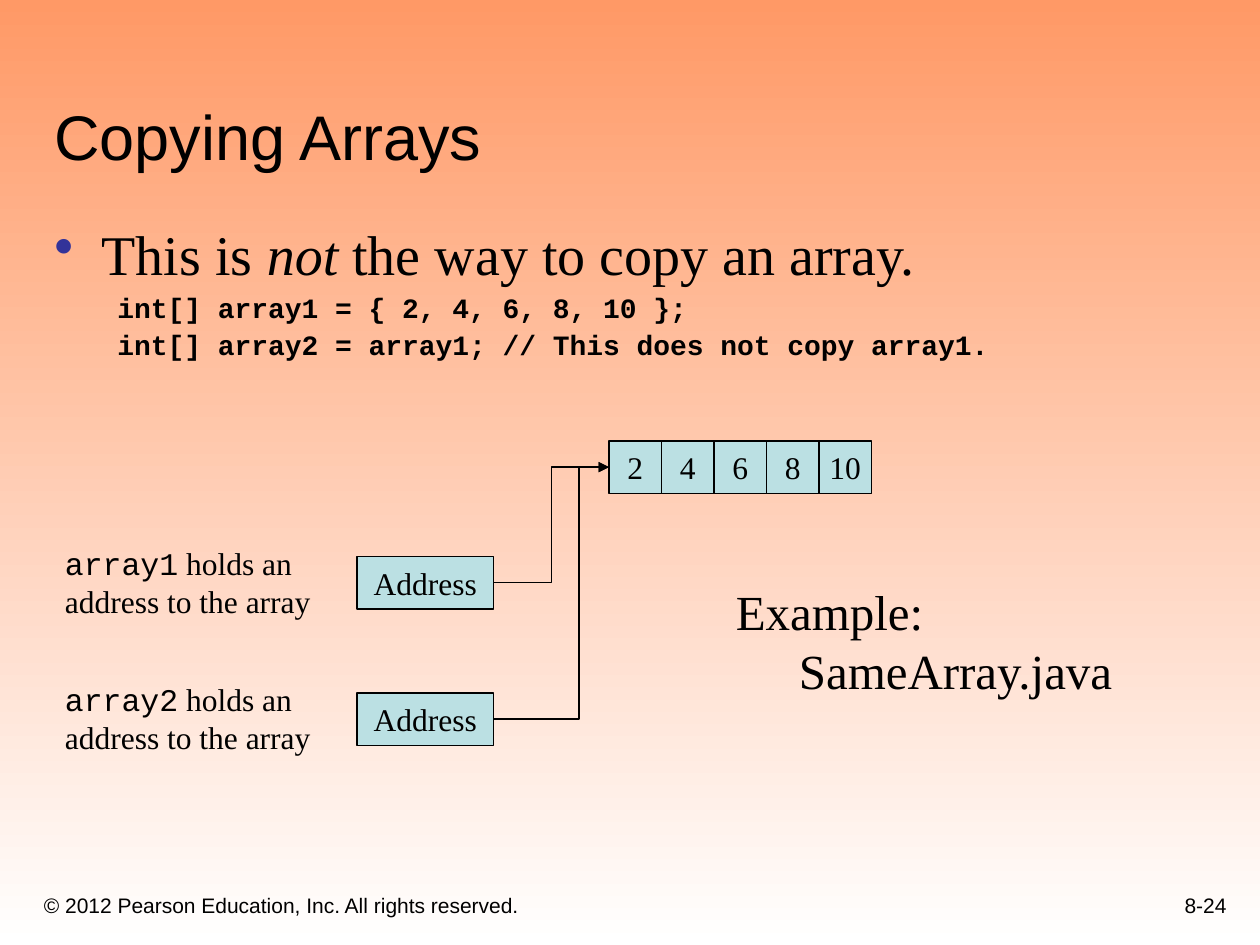
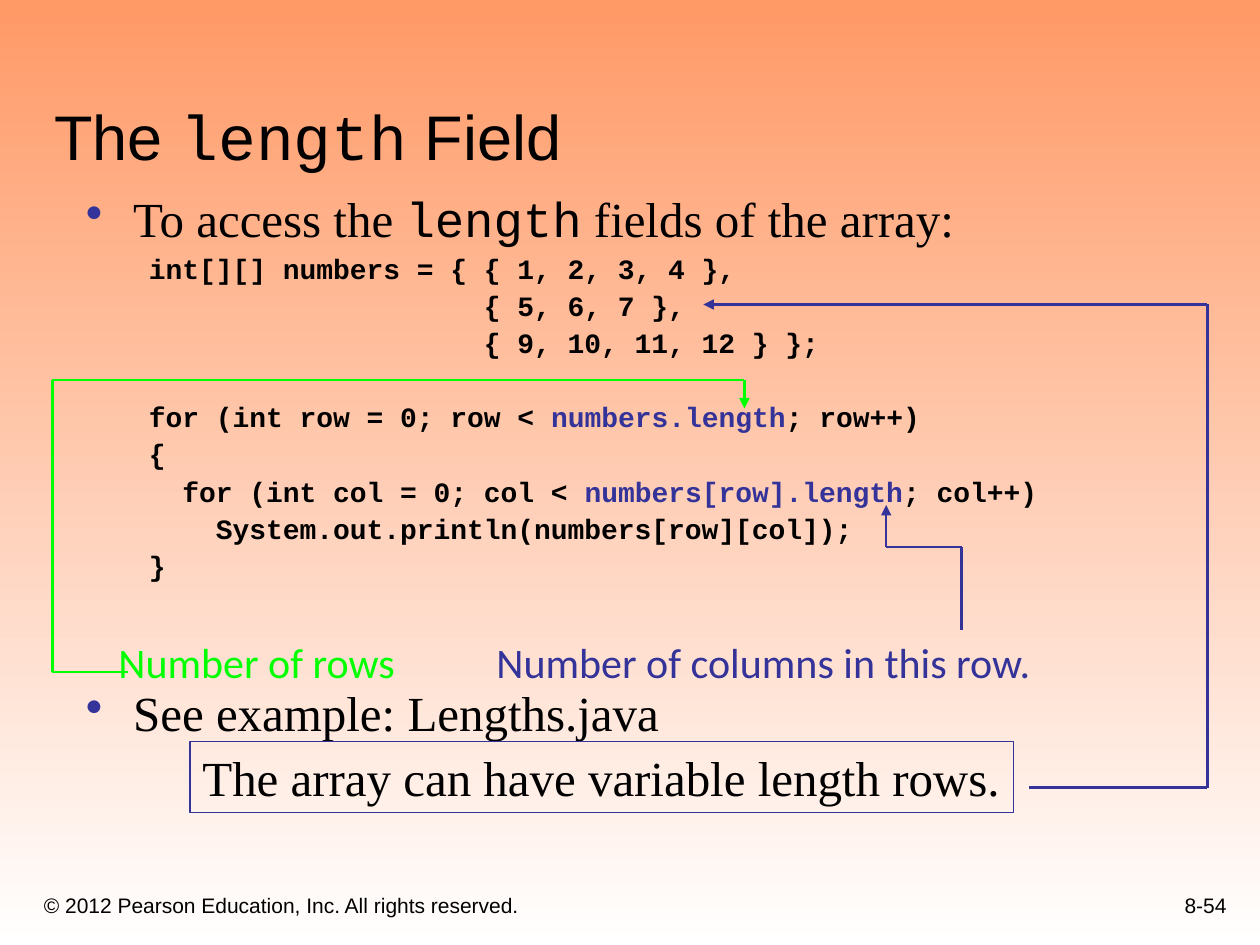
from itertools import pairwise

from lxml import etree
from pptx import Presentation
from pptx.dml.color import RGBColor
from pptx.enum.shapes import MSO_CONNECTOR, MSO_SHAPE
from pptx.enum.text import MSO_ANCHOR, MSO_AUTO_SIZE, PP_ALIGN
from pptx.oxml.ns import qn
from pptx.util import Pt

PX = 7620  # EMU per px, 120 px to the inch
STRAIGHT, ELBOW = MSO_CONNECTOR.STRAIGHT, MSO_CONNECTOR.ELBOW
RECTANGLE = MSO_SHAPE.RECTANGLE
TOP, MIDDLE, BOTTOM = MSO_ANCHOR.TOP, MSO_ANCHOR.MIDDLE, MSO_ANCHOR.BOTTOM
LEFT, CENTER, RIGHT = PP_ALIGN.LEFT, PP_ALIGN.CENTER, PP_ALIGN.RIGHT
FIT = MSO_AUTO_SIZE.SHAPE_TO_FIT_TEXT
RIGHT_SIDE, LEFT_SIDE = 3, 1

BLACK = RGBColor(0x00, 0x00, 0x00)
WHITE = RGBColor(0xFF, 0xFF, 0xFF)
ORANGE = RGBColor(0xFF, 0x99, 0x66)
BLUE = RGBColor(0x33, 0x33, 0x99)
GREEN = RGBColor(0x00, 0xFF, 0x00)
PALE_TEAL = RGBColor(0xBB, 0xE0, 0xE3)

SANS, SERIF, MONO, LABEL = "Arial", "Times New Roman", "Courier New", "Calibri"
COPYRIGHT = "© 2012 Pearson Education, Inc. All rights reserved."


def add_xml(parent, tag, **attributes):
    return etree.SubElement(parent, qn(tag), attributes)


def set_font(font, name=None, size=None, color=None, bold=None, italic=None):
    if name:
        font.name = name
    if size:
        font.size = Pt(size)
    if color is not None:
        font.color.rgb = color
    if bold is not None:
        font.bold = bold
    if italic is not None:
        font.italic = italic


class Deck:
    """Holds the shared style and the slide being built."""

    def __init__(self):
        self.prs = Presentation()
        self.prs.slide_width, self.prs.slide_height = 1200 * PX, 900 * PX
        self.slide = None

    def new_slide(self, title, number):
        self.slide = self.prs.slides.add_slide(self.prs.slide_layouts[6])
        fill = self.slide.background.fill
        fill.gradient()
        fill.gradient_angle = 270
        for stop, color in zip(fill.gradient_stops, (ORANGE, WHITE)):
            stop.color.rgb = color
        self.text((30, 830, 730, 50), [COPYRIGHT], SANS, 12, anchor=BOTTOM)
        self.text((930, 820, 250, 60), [number], SANS, 12, anchor=BOTTOM, align=RIGHT)
        self.text((40, 40, 1130, 131), [title], SANS, 36, anchor=BOTTOM)

    def put_words(self, paragraph, content, **font):
        """Content is a string or a list of strings and (text, font) runs."""
        set_font(paragraph.font, **font)
        if isinstance(content, str):
            paragraph.text = content
            return
        for part in content:
            words, change = (part, {}) if isinstance(part, str) else part
            run = paragraph.add_run()
            run.text = words
            if change:
                set_font(run.font, **change)

    def frame(self, box, anchor=TOP, fit=False):
        shape = self.slide.shapes.add_textbox(*(n * PX for n in box))
        frame = shape.text_frame
        frame.word_wrap = not fit
        frame.vertical_anchor = anchor
        if fit:
            frame.auto_size = FIT
        return frame

    def text(self, box, lines, name, size, color=BLACK, anchor=TOP, align=LEFT,
             fit=False, hanging=0, tab=0):
        frame = self.frame(box, anchor, fit)
        for index, line in enumerate(lines):
            paragraph = frame.add_paragraph() if index else frame.paragraphs[0]
            paragraph.alignment = align
            if hanging:
                self.indent(paragraph, hanging, hanging)
            if tab:
                tabs = add_xml(paragraph._p.get_or_add_pPr(), "a:tabLst")
                add_xml(tabs, "a:tab", pos=str(tab * PX), algn="l")
            self.put_words(paragraph, line, name=name, size=size, color=color)

    def indent(self, paragraph, margin, hanging):
        props = paragraph._p.get_or_add_pPr()
        props.set("marL", str(margin * PX))
        props.set("indent", str(-hanging * PX))
        return props

    def body(self, box, items, bullet_size):
        """Items are (kind, content, space before), kind being bullet or code."""
        frame = self.frame(box)
        frame.margin_right = 0
        for index, (kind, content, space) in enumerate(items):
            paragraph = frame.add_paragraph() if index else frame.paragraphs[0]
            paragraph.line_spacing = 0.9
            if index:
                paragraph.space_before = Pt(space)
            if kind == "bullet":
                props = self.indent(paragraph, 45, 45)
                add_xml(add_xml(props, "a:buClr"), "a:srgbClr", val=str(BLUE))
                add_xml(props, "a:buChar", char="•")
                self.put_words(paragraph, content, name=SERIF, size=bullet_size, color=BLACK)
            else:
                self.indent(paragraph, 98, 38)
                self.put_words(paragraph, content, name=MONO, size=16, color=BLACK, bold=True)

    def box(self, box, words, size, fill=None, line=BLACK, align=CENTER, fit=False):
        shape = self.slide.shapes.add_shape(RECTANGLE, *(n * PX for n in box))
        shape.shadow.inherit = False
        if fill is None:
            shape.fill.background()
        else:
            shape.fill.solid()
            shape.fill.fore_color.rgb = fill
        shape.line.color.rgb = line
        shape.line.width = Pt(0.75)
        frame = shape.text_frame
        frame.word_wrap = False
        frame.vertical_anchor = MIDDLE
        if fit:
            frame.auto_size = FIT
        paragraph = frame.paragraphs[0]
        paragraph.alignment = align
        self.put_words(paragraph, words, name=SERIF, size=size, color=BLACK)
        return shape

    def connector(self, kind, ends, color, width, arrow):
        line = self.slide.shapes.add_connector(kind, *ends)
        line.line.color.rgb = color
        line.line.width = Pt(width)
        props = line._element.spPr
        if arrow:
            add_xml(props.get_or_add_ln(), "a:tailEnd", type="triangle")
        add_xml(props, "a:effectLst")
        return line

    def pointer(self, source, target, bend):
        """Elbow arrow from a right side to a left side, bending at a percentage."""
        ends = (source.left + source.width, source.top + source.height // 2,
                target.left, target.top + target.height // 2)
        line = self.connector(ELBOW, ends, BLACK, 0.75, True)
        line.begin_connect(source, RIGHT_SIDE)
        line.end_connect(target, LEFT_SIDE)
        adjust = line._element.spPr.find(qn("a:prstGeom")).get_or_add_avLst()
        add_xml(adjust, "a:gd", name="adj1", fmla=f"val {bend * 1000}")

    def route(self, points, color):
        """Straight lines through the points, with an arrowhead at the end."""
        for start, end in pairwise(points):
            ends = [n * PX for n in start + end]
            self.connector(STRAIGHT, ends, color, 1.5, end == points[-1])


def copying_arrays(deck):
    deck.new_slide("Copying Arrays", "8-24")
    deck.body((40, 210, 1088, 184), [
        ("bullet", ["This is ", ("not", {"italic": True}), " the way to copy an array."], 0),
        ("code", "int[] array1 = { 2, 4, 6, 8, 10 };", 4),
        ("code", "int[] array2 = array1; // This does not copy array1.", 4),
    ], 32)

    # Array elements
    elements = [deck.box((580 + 50 * i, 420, 50, 50), value, 18, PALE_TEAL)
                for i, value in enumerate(("2", "4", "6", "8", "10"))]

    # Variables pointing at the one array
    for row, (variable, bend) in enumerate((("array1", 50), ("array2", 74))):
        top = 530 + 130 * row
        address = deck.box((340, top, 130, 50), "Address", 18, PALE_TEAL)
        deck.text((50, top - 18, 258, 84),
                  [[(variable, {"name": MONO}), " holds an"], "address to the array"],
                  SERIF, 18, fit=True)
        deck.pointer(address, elements[0], bend)

    deck.text((689, 548, 385, 125), ["Example:\vSameArray.java"], SERIF, 28,
              fit=True, hanging=60)


def length_field(deck):
    mono, blue = {"name": MONO}, {"color": BLUE}
    deck.new_slide(["The ", ("length", mono), " Field"], "8-54")
    deck.body((70, 180, 1060, 630), [
        ("bullet", ["To access the ", ("length", mono), " fields of the array:"], 0),
        ("code", "int[][] numbers = { { 1, 2, 3, 4 },", 4),
        ("code", "                    { 5, 6, 7 },", 4),
        ("code", "                    { 9, 10, 11, 12 } };", 4),
        ("code", ["for (int row = 0; row < ", ("numbers.length", blue), "; row++)"], 25),
        ("code", "{", 4),
        ("code", ["  for (int col = 0; col < ", ("numbers[row].length", blue), "; col++)"], 4),
        ("code", "    System.out.println(numbers[row][col]);", 4),
        ("code", "}", 4),
        ("bullet", "See example: Lengths.java", 61),
    ], 28)

    # Row and column counts
    deck.route([(122, 640), (50, 640), (50, 362), (709, 362), (709, 389)], GREEN)
    deck.route([(916, 600), (916, 521), (844, 521), (844, 481)], BLUE)
    deck.text((101, 600, 976, 60),
              [["Number of rows\t", ("Number of columns in this row.", blue)]],
              LABEL, 24, GREEN, fit=True, tab=360)

    # Remark on row lengths
    deck.route([(980, 750), (1150, 750), (1150, 290), (670, 290)], BLUE)
    deck.box((181, 706, 784, 68), "The array can have variable length rows.", 28,
             line=BLUE, align=LEFT, fit=True)


def main():
    deck = Deck()
    copying_arrays(deck)
    length_field(deck)
    deck.prs.save("out.pptx")


if __name__ == "__main__":
    main()
